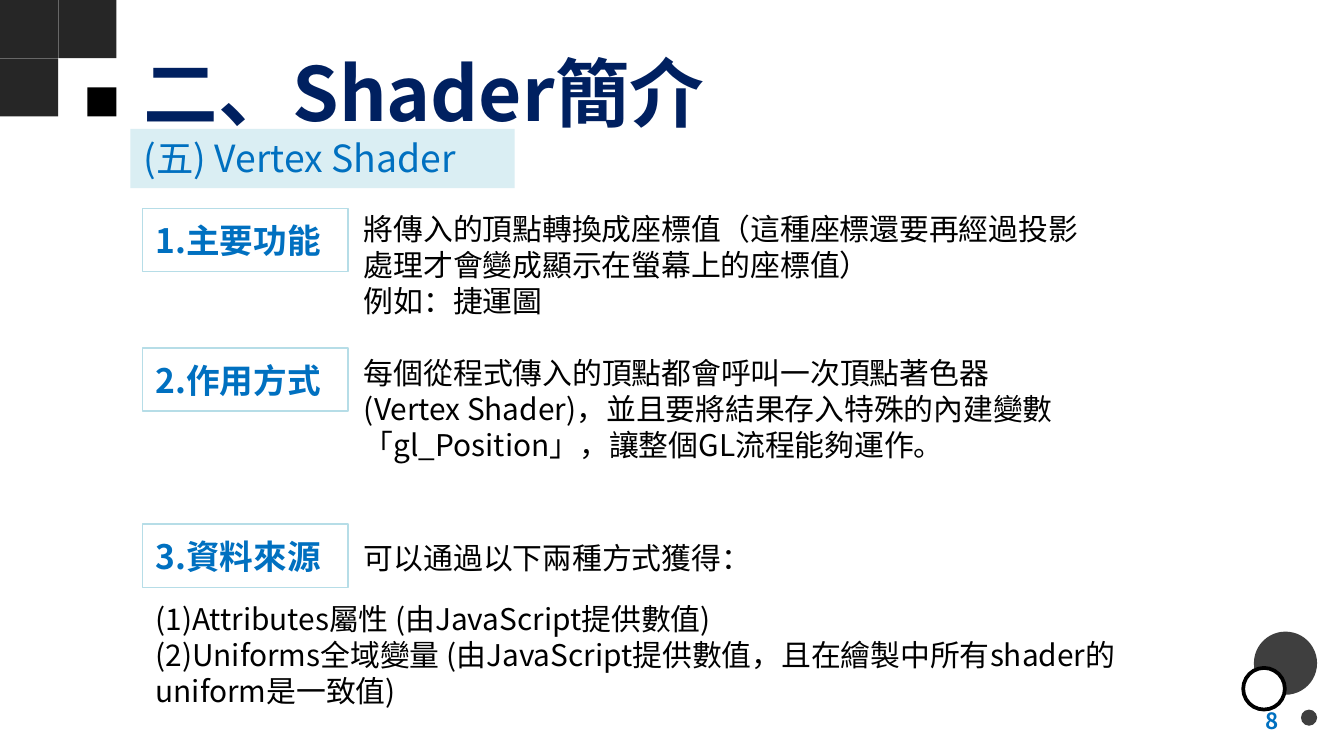
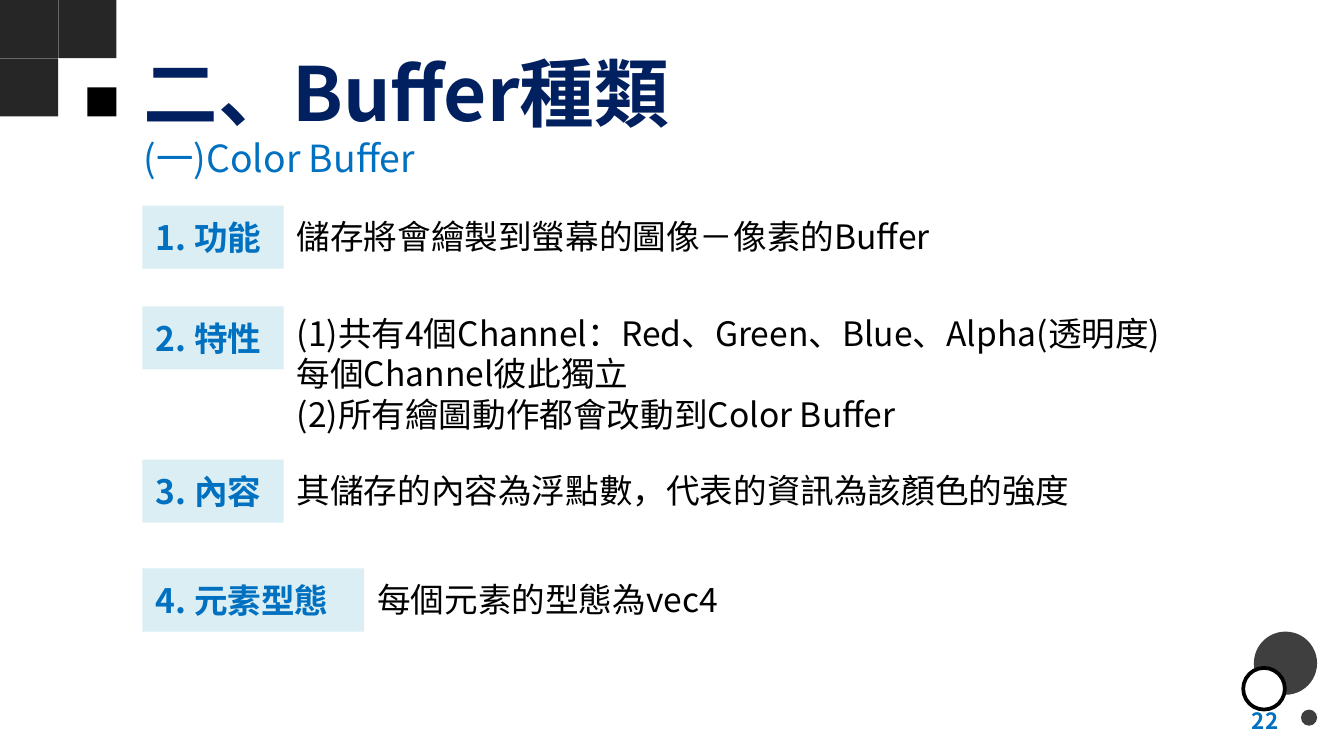
import pptx
import pptx.dml.color
import pptx.enum.shapes
import pptx.enum.text
import pptx.oxml.ns
import pptx.util
import lxml.etree

Inches = pptx.util.Inches
SHAPE = pptx.enum.shapes.MSO_SHAPE
ALIGN = pptx.enum.text.PP_ALIGN
ANCHOR = pptx.enum.text.MSO_ANCHOR

FONT = "Noto Sans CJK TC"
NAVY, BLUE, BLACK, WHITE = "002060", "0070C0", "000000", "FFFFFF"
CHARCOAL, GREY = "262626", "3F3F3F"
PALE, PALE_EDGE = "DAEEF3", "B6DDE7"
SLIDE_WIDTH = 10
LABEL_LEFT, LABEL_HEIGHT = 1.06, 0.47
TITLE_LEFT = 0.97


def rgb(value):
    """Turn a hex string into a colour."""
    return pptx.dml.color.RGBColor.from_string(value)


def add_shape(slide, kind, box, fill, line=None, width=0.75):
    """Add a flat preset shape with an optional outline."""
    sp = slide.shapes.add_shape(kind, *map(Inches, box))
    sp.shadow.inherit = False
    sp.fill.solid()
    sp.fill.fore_color.rgb = rgb(fill)
    if line:
        sp.line.color.rgb = rgb(line)
        sp.line.width = pptx.util.Pt(width)
    else:
        sp.line.fill.background()
    return sp


def write(sp, text, size=16, color=BLACK, bold=False, align=ALIGN.LEFT,
          anchor=ANCHOR.TOP, grow=False):
    """Write text into a shape, one paragraph per line."""
    tf = sp.text_frame
    tf.word_wrap = True
    tf.vertical_anchor = anchor
    if grow:
        tf.auto_size = pptx.enum.text.MSO_AUTO_SIZE.SHAPE_TO_FIT_TEXT
    for i, line in enumerate(text.split("\n")):
        p = tf.add_paragraph() if i else tf.paragraphs[0]
        p.alignment = align
        r = p.add_run()
        r.text = line
        r.font.size = pptx.util.Pt(size)
        r.font.bold = bold
        r.font.color.rgb = rgb(color)
        r.font.name = FONT
        ea = lxml.etree.SubElement(r.font._element, pptx.oxml.ns.qn("a:ea"))
        ea.set("typeface", FONT)


def add_text(slide, box, text, **style):
    """Add a text box."""
    write(slide.shapes.add_textbox(*map(Inches, box)), text, **style)


def add_label(slide, top, width, text, fill, line=None):
    """Add the boxed heading of one point."""
    box = (LABEL_LEFT, top, width, LABEL_HEIGHT)
    sp = add_shape(slide, SHAPE.RECTANGLE, box, fill, line)
    write(sp, text, size=18, color=BLUE, bold=True, anchor=ANCHOR.MIDDLE)


def add_decor(slide):
    """Add the corner squares and the circles."""
    inner = 0.65
    side = inner / 1.5
    for col, row in ((0, 0), (1, 0), (0, 1)):
        box = (col * side, row * side, side, side)
        add_shape(slide, SHAPE.RECTANGLE, box, CHARCOAL)
    box = (inner, inner, side / 2, side / 2)
    add_shape(slide, SHAPE.RECTANGLE, box, BLACK)
    add_shape(slide, SHAPE.OVAL, (9.33, 4.7, 0.47, 0.47), GREY)
    add_shape(slide, SHAPE.OVAL, (9.68, 5.28, 0.12, 0.12), GREY)
    add_shape(slide, SHAPE.OVAL, (9.25, 4.97, 0.31, 0.31), WHITE, BLACK, 2)


def add_slide(prs, title, subtitle, number, subtitle_width, band=None):
    """Start a slide with its title, subtitle, decoration and number."""
    slide = prs.slides.add_slide(prs.slide_layouts[6])
    add_text(slide, (TITLE_LEFT, 0.21, 5.64, 0.94), title, size=40,
             color=NAVY, bold=True, anchor=ANCHOR.MIDDLE)
    add_decor(slide)
    add_text(slide, (7.28, 5.21, 2.33, 0.3), str(number), size=12, color=BLUE,
             bold=True, align=ALIGN.RIGHT, anchor=ANCHOR.MIDDLE)
    box = (TITLE_LEFT, 0.96, subtitle_width, 0.44)
    if band:
        sp = add_shape(slide, SHAPE.RECTANGLE, box, band)
    else:
        sp = slide.shapes.add_textbox(*map(Inches, box))
    write(sp, subtitle, size=20, color=BLUE, grow=True)
    return slide


def build_vertex_shader(prs):
    """Build the slide on the vertex shader."""
    slide = add_slide(prs, "二、Shader簡介", "(五) Vertex Shader", 8, 2.86, PALE)
    points = (
        (1.55, "1.主要功能", (1.52, 5.7, 0.7),
         "將傳入的頂點轉換成座標值（這種座標還要再經過投影處理才會變成顯示在螢幕上的座標值）\n"
         "例如：捷運圖"),
        (2.59, "2.作用方式", (2.59, 5.51, 1.18),
         "每個從程式傳入的頂點都會呼叫一次頂點著色器(Vertex Shader)，"
         "並且要將結果存入特殊的內建變數 「gl_Position」，讓整個GL流程能夠運作。"),
        (3.9, "3.資料來源", (3.97, 3.12, 0.37), "可以通過以下兩種方式獲得："),
    )
    for top, label, box, text in points:
        add_label(slide, top, 1.53, label, WHITE, PALE_EDGE)
        add_text(slide, (2.61, *box), text, grow=True)
    add_text(slide, (LABEL_LEFT, 4.42, 7.37, 0.91),
             "(1)Attributes屬性 (由JavaScript提供數值)\n"
             "(2)Uniforms全域變量 (由JavaScript提供數值，且在繪製中所有shader的uniform是一致值)",
             grow=True)


def build_color_buffer(prs):
    """Build the slide on the color buffer."""
    slide = add_slide(prs, "二、Buffer種類", "(一)Color Buffer", 22, 5.18)
    points = (
        (1.53, 1.05, "1. 功能", (1.56, 4.91, 0.4),
         "儲存將會繪製到螢幕的圖像－像素的Buffer"),
        (2.28, 1.05, "2. 特性", (2.28, 7.51, 1.31),
         "(1)共有4個Channel：Red、Green、Blue、Alpha(透明度)\n"
         "每個Channel彼此獨立\n"
         "(2)所有繪圖動作都會改動到Color Buffer"),
        (3.42, 1.05, "3. 內容", (3.45, 7.51, 0.4),
         "其儲存的內容為浮點數，代表的資訊為該顏色的強度"),
        (4.23, 1.65, "4. 元素型態", (4.26, 3.1, 0.4), "每個元素的型態為vec4"),
    )
    for top, width, label, box, text in points:
        add_label(slide, top, width, label, PALE)
        add_text(slide, (LABEL_LEFT + width, *box), text, size=18, grow=True)


def main():
    """Build and save the presentation."""
    prs = pptx.Presentation()
    prs.slide_width = Inches(SLIDE_WIDTH)
    prs.slide_height = Inches(SLIDE_WIDTH * 9 / 16)
    build_vertex_shader(prs)
    build_color_buffer(prs)
    prs.save("out.pptx")


if __name__ == "__main__":
    main()
